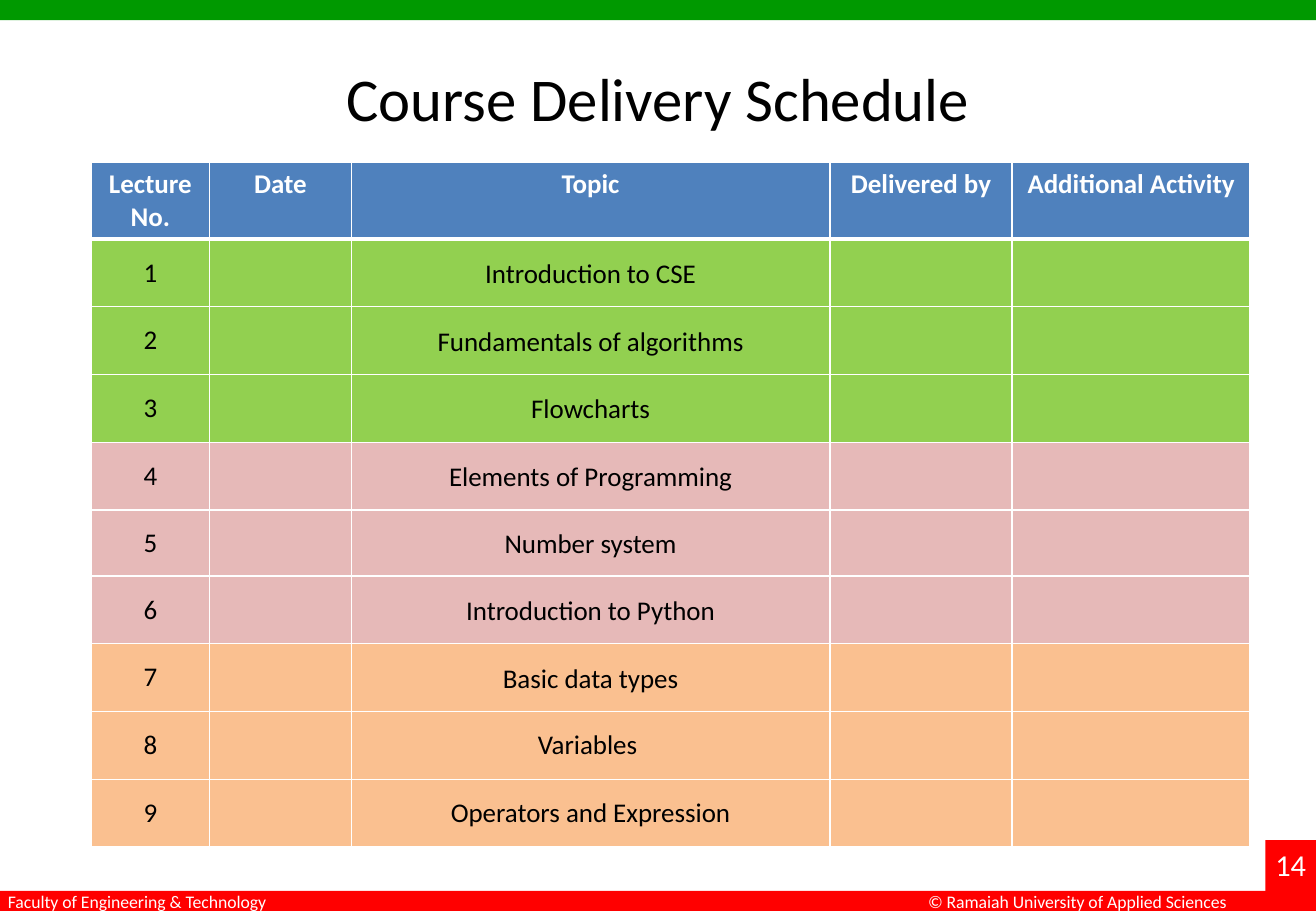
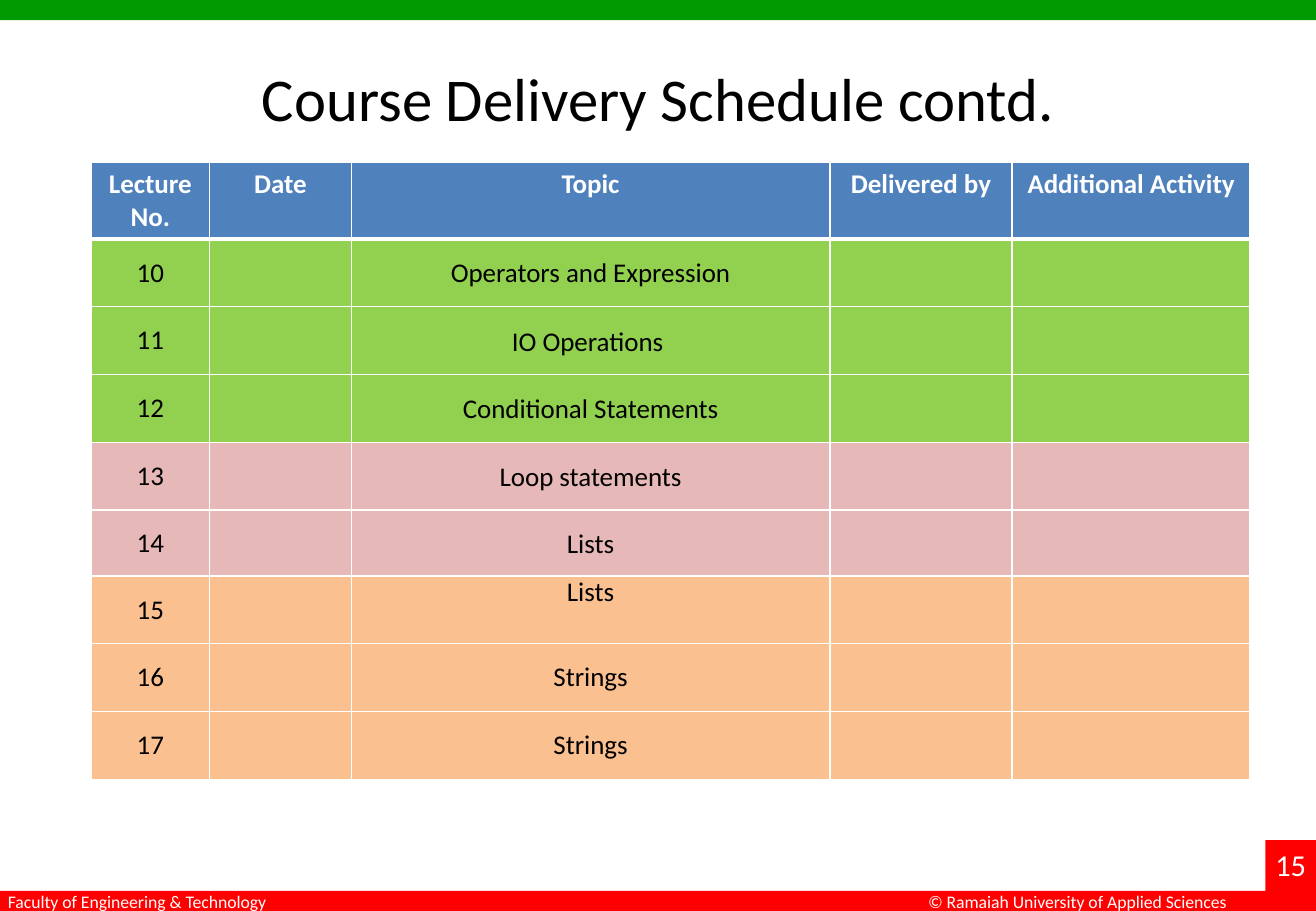
from dataclasses import dataclass

from lxml.etree import SubElement
from pptx import Presentation
from pptx.dml.color import RGBColor
from pptx.enum.shapes import MSO_SHAPE
from pptx.enum.text import MSO_ANCHOR, PP_ALIGN
from pptx.oxml.ns import qn
from pptx.util import Pt

PX = 7620  # 120 px to the inch


@dataclass(frozen=True)
class Theme:
    font: str = "Calibri"
    white: str = "FFFFFF"
    black: str = "000000"
    top_band: str = "009900"
    bottom_band: str = "FF0000"
    header: str = "4F81BD"
    green: str = "92D050"
    pink: str = "E6B9B8"
    orange: str = "FAC090"
    title_size: float = 36
    number_size: float = 18
    table_size: float = 16
    footer_size: float = 10.5


theme = Theme()


def write(text_frame, text, size, color, align=PP_ALIGN.LEFT, bold=False):
    text_frame.word_wrap = True
    text_frame.text = text
    paragraph = text_frame.paragraphs[0]
    paragraph.alignment = align
    font = paragraph.runs[0].font
    font.name, font.size, font.bold = theme.font, Pt(size), bold
    font.color.rgb = RGBColor.from_string(color)
    return paragraph


def style_cell(cell, fill, top, bottom):
    """Fill a cell and give it white borders; top and bottom are widths in points."""
    properties = cell._tc.get_or_add_tcPr()
    for side, width in (("lnL", 1), ("lnR", 1), ("lnT", top), ("lnB", bottom)):
        line = SubElement(properties, qn(f"a:{side}"), w=str(Pt(width)))
        SubElement(SubElement(line, qn("a:solidFill")), qn("a:srgbClr"), val=theme.white)
    cell.fill.solid()
    cell.fill.fore_color.rgb = RGBColor.from_string(fill)


bands = [
    ((0, 0, 1300, 20), theme.top_band),
    ((0, 880, 1300, 20), theme.bottom_band),
    ((1250, 830, 50, 70), theme.bottom_band),
]
footers = [
    ((-4, 874, 286, 34), "Faculty of Engineering & Technology"),
    ((905, 874, 324, 34), "© Ramaiah University of Applied Sciences"),
]
headings = ["Lecture No.", "Date", "Topic", "Delivered by", "Additional Activity"]
column_widths = [117, 140, 473, 180, 235]
header_height, row_height, short_row_height = 73, 67, 65
short_row = 5
single_spaced_lectures = {8, 9, 10, 15, 16, 17}
top_anchored_lecture = 15

# Title, page number, first lecture, topics grouped by row colour
schedules = [
    ("Course Delivery Schedule", 14, 1, [
        (theme.green, ["Introduction to CSE", "Fundamentals of algorithms", "Flowcharts"]),
        (theme.pink, ["Elements of Programming", "Number system", "Introduction to Python"]),
        (theme.orange, ["Basic data types", "Variables ", "Operators and Expression"]),
    ]),
    ("Course Delivery Schedule contd.", 15, 10, [
        (theme.green, ["Operators and Expression", "IO Operations ", "Conditional Statements"]),
        (theme.pink, ["Loop statements", "Lists"]),
        (theme.orange, ["Lists", "Strings", "Strings"]),
    ]),
]

presentation = Presentation()
presentation.slide_width, presentation.slide_height = 1300 * PX, 900 * PX

for title, page_number, first_lecture, groups in schedules:
    slide = presentation.slides.add_slide(presentation.slide_layouts[6])

    for box, color in bands:
        shape = slide.shapes.add_shape(MSO_SHAPE.RECTANGLE, *(value * PX for value in box))
        shape.shadow.inherit = False
        shape.fill.solid()
        shape.fill.fore_color.rgb = RGBColor.from_string(color)
        shape.line.fill.background()

    number_label = ((1248, 830, 60, 48), str(page_number))
    for (box, text), size in zip([number_label, *footers],
                                 [theme.number_size, theme.footer_size, theme.footer_size]):
        label = slide.shapes.add_textbox(*(value * PX for value in box))
        write(label.text_frame, text, size, theme.white)

    title_box = slide.shapes.add_textbox(65 * PX, 50 * PX, 1170 * PX, 74 * PX)
    title_box.text_frame.margin_top = 10 * PX
    write(title_box.text_frame, title, theme.title_size, theme.black, PP_ALIGN.CENTER)

    rows = [(color, topic) for color, topics in groups for topic in topics]
    heights = [header_height] + [row_height] * len(rows)
    heights[short_row] = short_row_height
    table = slide.shapes.add_table(
        len(heights), len(headings), 90 * PX, 160 * PX,
        sum(column_widths) * PX, sum(heights) * PX).table
    for column, width in zip(table.columns, column_widths):
        column.width = width * PX
    for row, height in zip(table.rows, heights):
        row.height = height * PX

    for cell, heading in zip(table.rows[0].cells, headings):
        style_cell(cell, theme.header, 1, 3)
        write(cell.text_frame, heading, theme.table_size, theme.white, PP_ALIGN.CENTER, True)

    for index, (color, topic) in enumerate(rows, start=1):
        lecture = first_lecture + index - 1
        for cell in table.rows[index].cells:
            style_cell(cell, color, 3 if index == 1 else 1, 1)
        number_cell, topic_cell = table.cell(index, 0), table.cell(index, 2)
        for cell, text in ((number_cell, str(lecture)), (topic_cell, topic)):
            cell.vertical_anchor = MSO_ANCHOR.MIDDLE
            paragraph = write(cell.text_frame, text, theme.table_size, theme.black,
                              PP_ALIGN.CENTER)
        topic_cell.margin_left = topic_cell.margin_right = 8 * PX
        topic_cell.margin_top = topic_cell.margin_bottom = 0
        if lecture not in single_spaced_lectures:
            paragraph.line_spacing = 1.07
        if lecture == top_anchored_lecture:
            topic_cell.vertical_anchor = MSO_ANCHOR.TOP

presentation.save("out.pptx")
